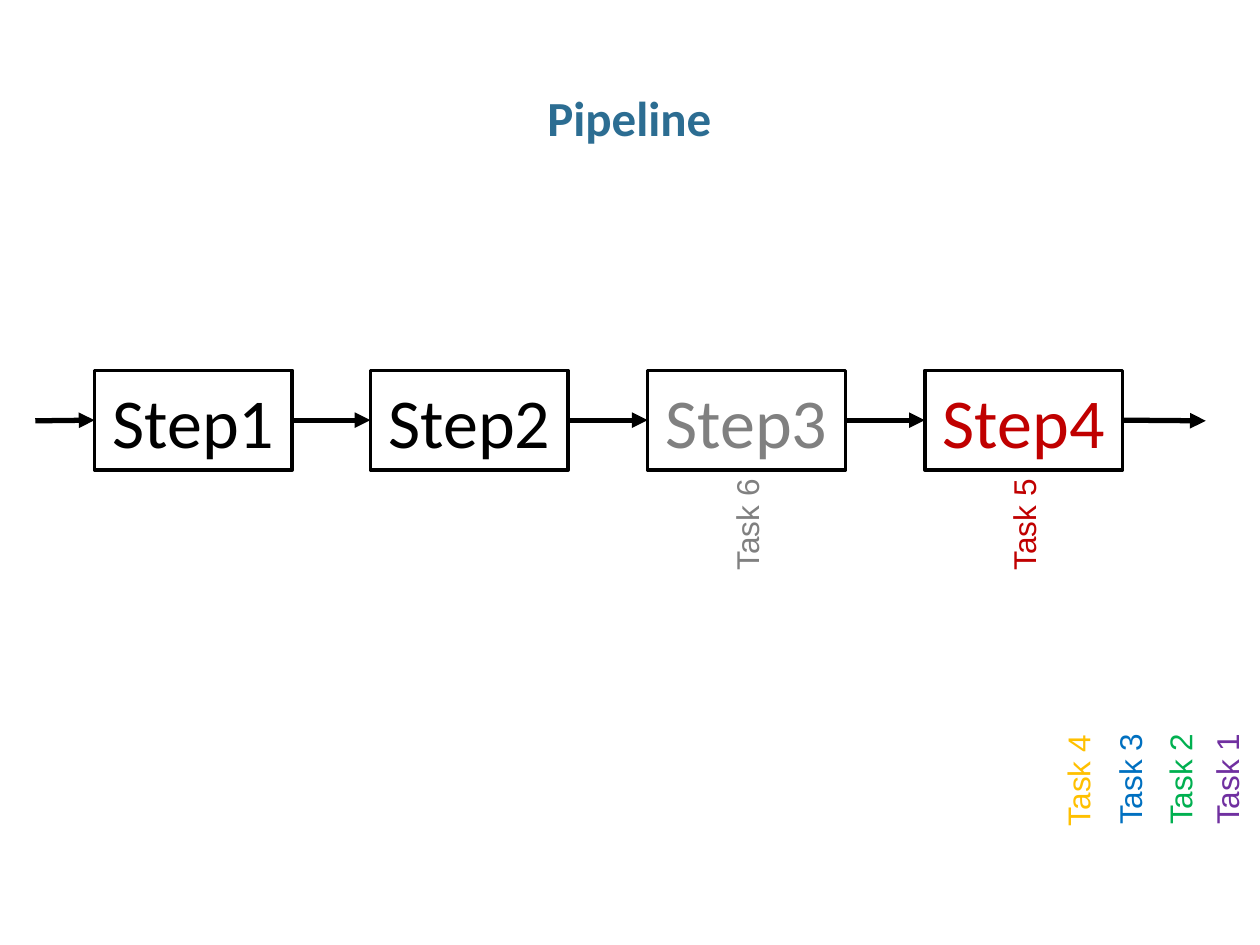
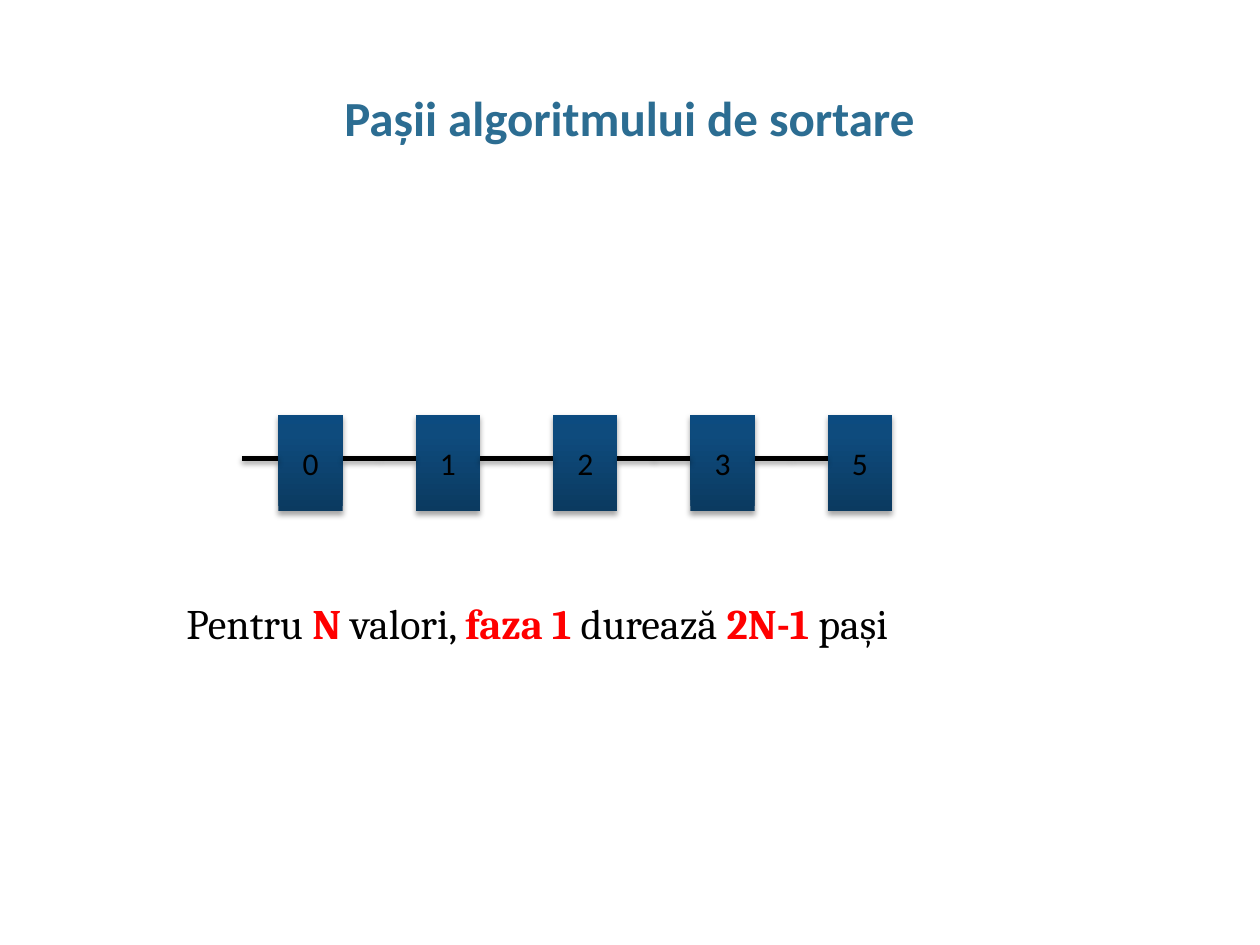
from copy import deepcopy

from pptx import Presentation
from pptx.dml.color import RGBColor
from pptx.enum.shapes import MSO_CONNECTOR, MSO_SHAPE
from pptx.enum.text import MSO_ANCHOR as Anchor
from pptx.enum.text import MSO_AUTO_SIZE as AutoSize
from pptx.enum.text import PP_ALIGN as Align
from pptx.oxml import parse_xml
from pptx.oxml.ns import nsdecls, qn
from pptx.util import Pt

PX = 9144  # EMU per px, 100 px to the inch
TITLE_ONLY = 5
LEFT_SIDE, RIGHT_SIDE = 1, 3

TITLE_BLUE = RGBColor(0x2C, 0x6D, 0x92)
BLACK = RGBColor(0x00, 0x00, 0x00)
GRAY = RGBColor(0x80, 0x80, 0x80)
DARK_RED = RGBColor(0xC0, 0x00, 0x00)
RED = RGBColor(0xFF, 0x00, 0x00)
PURPLE = RGBColor(0x70, 0x30, 0xA0)
GREEN = RGBColor(0x00, 0xB0, 0x50)
BLUE = RGBColor(0x00, 0x70, 0xC0)
GOLD = RGBColor(0xFF, 0xC0, 0x00)
CELL_GRADIENT = [
    (0, RGBColor(0x0B, 0x3A, 0x60)),
    (0.8, RGBColor(0x0E, 0x4B, 0x7D)),
    (1, RGBColor(0x0C, 0x4B, 0x80)),
]
SOFT_SHADOW = (
    '<a:outerShdw blurRad="40000" dist="23000" dir="5400000" rotWithShape="0">'
    '<a:srgbClr val="000000"><a:alpha val="35000"/></a:srgbClr></a:outerShdw>'
)


def px(*lengths):
    return [length * PX for length in lengths]


def add_run(paragraph, text, size, font, color, bold=False):
    run = paragraph.add_run()
    run.text = text
    run.font.size = Pt(size)
    run.font.name = font
    run.font.color.rgb = color
    run.font.bold = bold


def set_effects(shape, shadow=""):
    """Replace the theme shadow; call after fill and line are set."""
    shape._element.spPr.append(
        parse_xml(f"<a:effectLst {nsdecls('a')}>{shadow}</a:effectLst>"))


def add_titled_slide(presentation, text):
    slide = presentation.slides.add_slide(presentation.slide_layouts[TITLE_ONLY])
    title = slide.shapes.title
    title.left, title.top, title.width, title.height = px(34, 68, 931, 50)
    frame = title.text_frame
    frame.auto_size = AutoSize.NONE
    frame.vertical_anchor = Anchor.TOP
    frame.margin_left = frame.margin_right = 0
    paragraph = frame.paragraphs[0]
    paragraph.alignment = Align.CENTER
    paragraph.line_spacing = 0.95
    add_run(paragraph, text, 28, "Calibri", TITLE_BLUE, True)
    return slide


def add_box(slide, bounds, text, size, color):
    box = slide.shapes.add_shape(MSO_SHAPE.RECTANGLE, *px(*bounds))
    box.text_frame.vertical_anchor = Anchor.MIDDLE
    paragraph = box.text_frame.paragraphs[0]
    paragraph.alignment = Align.CENTER
    add_run(paragraph, text, size, "Calibri", color)
    return box


def add_step(slide, bounds, text, color):
    step = add_box(slide, bounds, text, 40, color)
    step.fill.background()
    step.line.color.rgb = BLACK
    step.line.width = Pt(2)
    set_effects(step)
    return step


def add_cell(slide, bounds, text):
    cell = add_box(slide, bounds, text, 18, BLACK)
    frame = cell.text_frame
    frame.margin_left = frame.margin_right = 0
    frame.margin_top = frame.margin_bottom = 0
    cell.fill.gradient()
    cell.fill.gradient_angle = 90
    stop_list = cell._element.spPr.find(".//" + qn("a:gsLst"))
    stop_list.append(deepcopy(stop_list[0]))
    for stop, (position, color) in zip(cell.fill.gradient_stops, CELL_GRADIENT):
        stop.position = position
        stop.color.rgb = color
    cell.line.fill.background()
    set_effects(cell, SOFT_SHADOW)


def add_line(slide, start, end, y, arrow=False, shadow=""):
    line = slide.shapes.add_connector(MSO_CONNECTOR.STRAIGHT, *px(start, y, end, y))
    line.line.color.rgb = BLACK
    line.line.width = Pt(3)
    if arrow:
        line.line._get_or_add_ln().append(
            parse_xml(f'<a:tailEnd {nsdecls("a")} type="triangle"/>'))
    set_effects(line, shadow)
    return line


def add_text_box(slide, bounds, wrap):
    box = slide.shapes.add_textbox(*px(*bounds))
    box.text_frame.word_wrap = wrap
    box.text_frame.auto_size = AutoSize.SHAPE_TO_FIT_TEXT
    return box


def add_task(slide, left, top, text, color):
    task = add_text_box(slide, (left, top, 93, 40), False)
    task.rotation = 270
    add_run(task.text_frame.paragraphs[0], text, 18, "Arial", color)


def build_pipeline(presentation):
    slide = add_titled_slide(presentation, "Pipeline")

    # Steps at an equal pitch
    first_left, top, width, height, middle = 75, 294, 157, 79, 334
    lefts = [first_left + index * 659 // 3 for index in range(4)]
    colors = [BLACK, BLACK, GRAY, DARK_RED]
    steps = [add_step(slide, (left, top, width, height), f"Step{number}", color)
             for number, (left, color) in enumerate(zip(lefts, colors), 1)]

    # Arrows into, between and out of the steps
    starts = [28] + [left + width for left in lefts]
    ends = lefts + [957]
    sources, targets = [None] + steps, steps + [None]
    for start, end, source, target in zip(starts, ends, sources, targets):
        arrow = add_line(slide, start, end, middle, arrow=True)
        if source:
            arrow.begin_connect(source, RIGHT_SIDE)
        if target:
            arrow.end_connect(target, LEFT_SIDE)

    # Waiting tasks, then the tasks under their steps
    tasks = [
        (927, 598, PURPLE), (890, 598, GREEN), (850, 598, BLUE),
        (809, 599, GOLD), (766, 396, DARK_RED), (546, 396, GRAY),
    ]
    for number, (left, task_top, color) in enumerate(tasks, 1):
        add_task(slide, left, task_top, f"Task {number}", color)


def build_sorting_steps(presentation):
    slide = add_titled_slide(presentation, "Pașii algoritmului de sortare")

    # Chain of cells, each with a short link on its free sides
    labels = ["0", "1", "2", "3", "5"]
    first_left, width, link, link_y = 221, 51, 29, 364
    pitch = width + 2 * link
    for index, label in enumerate(labels):
        left = first_left + index * pitch
        right = left + width
        add_cell(slide, (left, 329, width, 77), label)
        if label != labels[-1]:
            add_line(slide, right, right + link, link_y, shadow=SOFT_SHADOW)
        add_line(slide, left - link, left, link_y, shadow=SOFT_SHADOW)

    # Conclusion with highlighted terms
    note = add_text_box(slide, (138, 469, 725, 50), True)
    parts = ["Pentru ", "N ", "valori, ", "faza 1 ", "durează ", "2N-1", " pași"]
    for index, part in enumerate(parts):
        highlighted = index % 2 == 1
        add_run(note.text_frame.paragraphs[0], part, 24, "Cambria",
                RED if highlighted else BLACK, highlighted)


def main():
    presentation = Presentation()
    presentation.slide_width, presentation.slide_height = px(1000, 750)
    build_pipeline(presentation)
    build_sorting_steps(presentation)
    presentation.save("out.pptx")


if __name__ == "__main__":
    main()
